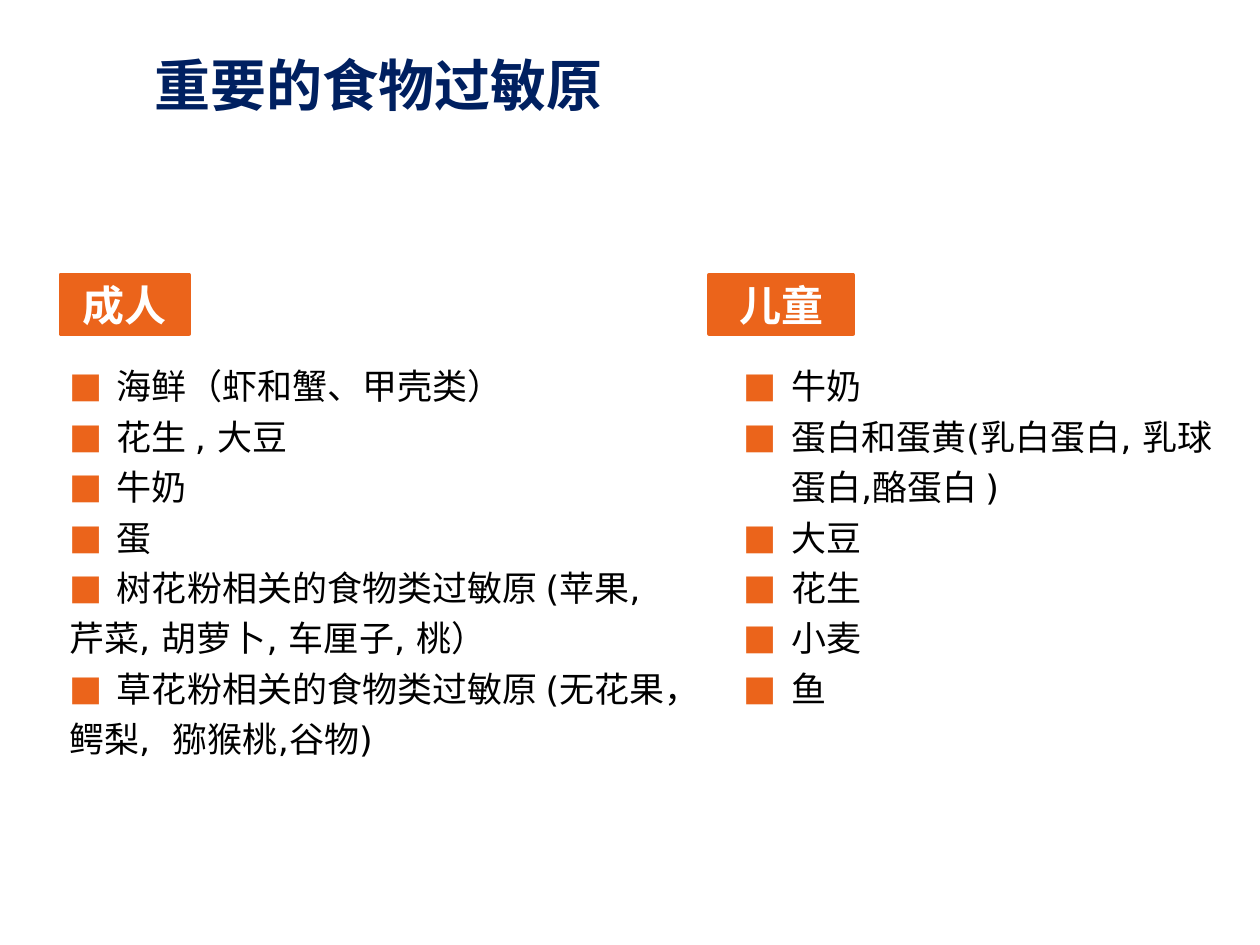
from dataclasses import dataclass

from lxml import etree
from pptx import Presentation
from pptx.dml.color import RGBColor
from pptx.enum.shapes import MSO_SHAPE
from pptx.enum.text import MSO_ANCHOR, MSO_AUTO_SIZE, PP_ALIGN
from pptx.oxml.ns import qn
from pptx.util import Inches, Pt

RECT = MSO_SHAPE.RECTANGLE
MIDDLE = MSO_ANCHOR.MIDDLE
CENTER = PP_ALIGN.CENTER
GROW = MSO_AUTO_SIZE.SHAPE_TO_FIT_TEXT


@dataclass(frozen=True)
class Theme:
    """Colours, fonts and type sizes of the slide."""
    accent: str = "EB641B"
    navy: str = "002060"
    white: str = "FFFFFF"
    black: str = "000000"
    head_font: str = "Arial"
    body_font: str = "DejaVu Sans"
    title_size: int = 32
    label_size: int = 24
    body_size: int = 20
    border: float = 2.25
    hang: float = 0.38
    leading: float = 1.2


class Builder:
    """Draws elements on a grid of 100 columns by 75 rows."""

    def __init__(self, prs, theme):
        """Add a blank slide and work out the grid."""
        self.theme = theme
        self.s = prs.slides.add_slide(prs.slide_layouts[6])
        self.col, self.row = prs.slide_width / 100, prs.slide_height / 75

    def box(self, x, y, w, h):
        """Turn grid units into slide lengths."""
        return (round(x * self.col), round(y * self.row),
                round(w * self.col), round(h * self.row))

    def run(self, p, text, font, size, color, bold=False):
        """Add one styled run to a paragraph."""
        r = p.add_run()
        r.text = text
        r.font.name, r.font.size, r.font.bold = font, Pt(size), bold
        r.font.color.rgb = RGBColor.from_string(color)

    def bullet(self, p):
        """Give a paragraph a square bullet and a hanging indent."""
        t = self.theme
        pPr = p._p.get_or_add_pPr()
        pPr.set("marL", str(Inches(t.hang)))
        pPr.set("indent", str(-Inches(t.hang)))
        clr = etree.SubElement(pPr, qn("a:buClr"))
        etree.SubElement(clr, qn("a:srgbClr")).set("val", t.accent)
        etree.SubElement(pPr, qn("a:buFont")).set("typeface", t.body_font)
        etree.SubElement(pPr, qn("a:buChar")).set("char", "■")

    def text_frame(self, area, wrap):
        """Add a text box that grows with its text."""
        tf = self.s.shapes.add_textbox(*self.box(*area)).text_frame
        tf.word_wrap, tf.auto_size = wrap, GROW
        return tf

    def title(self, text, area):
        """Add the slide title."""
        t = self.theme
        p = self.text_frame(area, False).paragraphs[0]
        self.run(p, text, t.head_font, t.title_size, t.navy, True)

    def label(self, text, area):
        """Add a filled heading label."""
        t = self.theme
        sp = self.s.shapes.add_shape(RECT, *self.box(*area))
        sp.shadow.inherit = False
        sp.fill.solid()
        sp.fill.fore_color.rgb = RGBColor.from_string(t.accent)
        sp.line.color.rgb = RGBColor.from_string(t.accent)
        sp.line.width = Pt(t.border)
        tf = sp.text_frame
        tf.vertical_anchor = MIDDLE
        p = tf.paragraphs[0]
        p.alignment = CENTER
        self.run(p, text, t.head_font, t.label_size, t.white, True)

    def bullets(self, items, area):
        """Add a list whose items may carry flush continuation lines."""
        t = self.theme
        tf = self.text_frame(area, True)
        lines = [(n == 0, text) for item in items for n, text in enumerate(item)]
        for i, (first, text) in enumerate(lines):
            p = tf.add_paragraph() if i else tf.paragraphs[0]
            if first:
                self.bullet(p)
            p.line_spacing = t.leading
            self.run(p, text, t.body_font, t.body_size, t.black)


ADULT_FOODS = [
    ["海鲜（虾和蟹、甲壳类）"],
    ["花生 , 大豆"],
    ["牛奶"],
    ["蛋"],
    ["树花粉相关的食物类过敏原 (苹果,", "芹菜, 胡萝卜, 车厘子, 桃）"],
    ["草花粉相关的食物类过敏原 (无花果，", "鳄梨,  猕猴桃,谷物)"],
]
CHILD_FOODS = [
    ["牛奶"],
    ["蛋白和蛋黄(乳白蛋白, 乳球蛋白,酪蛋白 )"],
    ["大豆"],
    ["花生"],
    ["小麦"],
    ["鱼"],
]
LABEL_TOP, LABEL_H, LIST_TOP = 21.8, 4.7, 27.8
GROUPS = [
    ("儿童", 56.3, 11.4, CHILD_FOODS, 58, 40.3, 28.9),
    ("成人", 4.8, 10.2, ADULT_FOODS, 4.5, 53.6, 33),
]


def main():
    """Build and save the slide."""
    prs = Presentation()
    prs.slide_width, prs.slide_height = Inches(10), Inches(7.5)
    b = Builder(prs, Theme())
    for name, label_x, label_w, foods, x, w, h in GROUPS:
        b.label(name, (label_x, LABEL_TOP, label_w, LABEL_H))
        b.bullets(foods, (x, LIST_TOP, w, h))
    b.title("重要的食物过敏原", (11.3, 3.5, 37.9, 6.4))
    prs.save("out.pptx")


if __name__ == "__main__":
    main()
